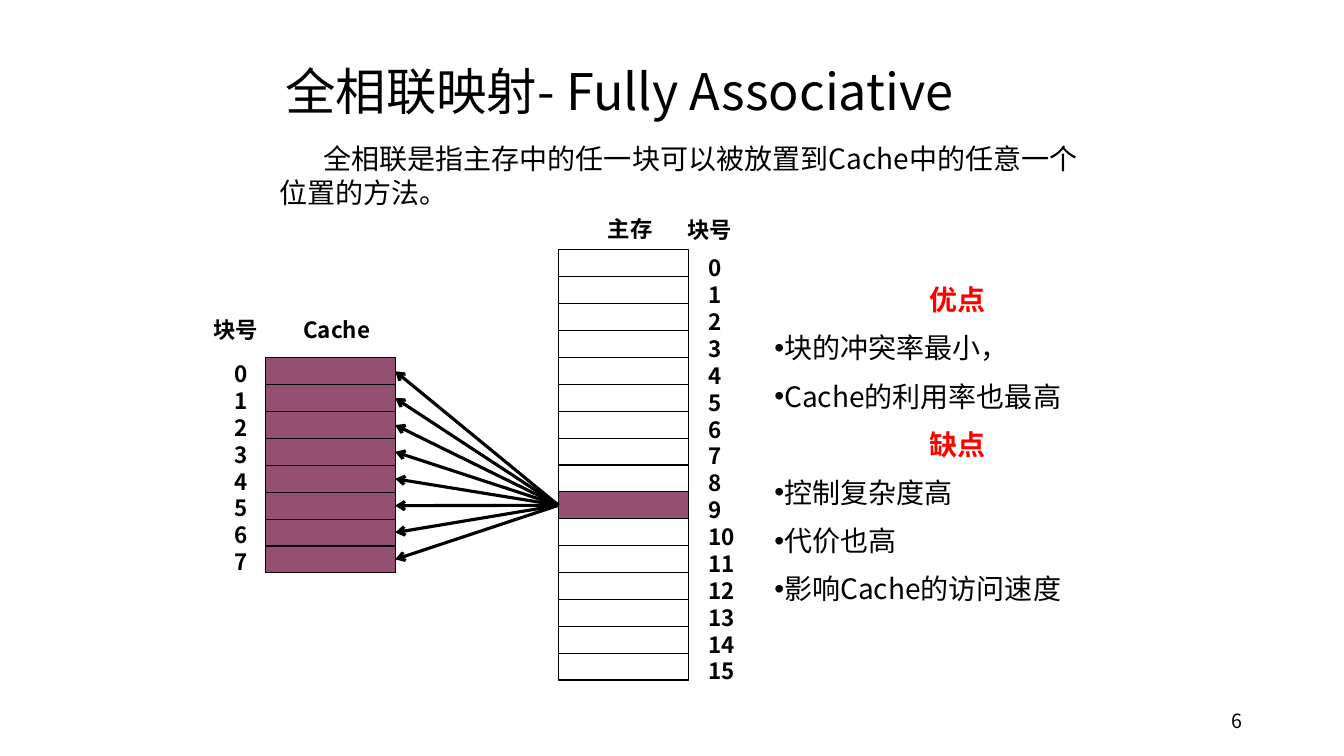
from lxml.etree import SubElement
from pptx import Presentation
from pptx.dml.color import RGBColor
from pptx.enum.shapes import MSO_CONNECTOR, MSO_SHAPE
from pptx.enum.text import MSO_ANCHOR, MSO_AUTO_SIZE, PP_ALIGN
from pptx.oxml.ns import qn
from pptx.util import Inches, Pt

FONT = "Noto Sans CJK SC"
COLORS = {"text": "000000", "heading": "FF0000", "block": "954F72"}

TITLE = "全相联映射- Fully Associative"
INTRO = "全相联是指主存中的任一块可以被放置到Cache中的任意一个位置的方法。"
PAGE = "6"
ASSESSMENT = [
    ("优点", ["块的冲突率最小，", "Cache的利用率也最高"]),
    ("缺点", ["控制复杂度高", "代价也高", "影响Cache的访问速度"]),
]
CAPTIONS = [
    ("块号", 2.02, 3.08),
    ("Cache", 2.91, 3.08),
    ("块号", 6.72, 2.09),
    ("主存", 5.93, 2.08),
]
CACHE = {"blocks": 8, "left": 2.63, "top": 3.55, "number_left": 2.23, "number_top": 3.52,
         "filled": range(8)}
MEMORY = {"blocks": 16, "left": 5.54, "top": 2.48, "number_left": 6.93, "number_top": 2.47,
          "filled": [9]}
BLOCK_WIDTH = 1.29
PITCH = 4 / 15
LINE_RATIO = 1.22


def rgb(name):
    return RGBColor.from_string(COLORS[name])


def format_paragraph(paragraph, size, color="text", bold=False, align=PP_ALIGN.LEFT, ratio=LINE_RATIO):
    paragraph.alignment = align
    paragraph.line_spacing = Pt(round(size * ratio, 1))
    paragraph.space_before = Pt(0)
    for run in paragraph.runs:
        run.font.size = Pt(size)
        run.font.bold = bold
        run.font.name = FONT
        run.font.color.rgb = rgb(color)
        SubElement(run.font._element, qn("a:ea")).set("typeface", FONT)


def set_marker(paragraph, bullet=None, indent=0):
    properties = paragraph._p.get_or_add_pPr()
    properties.set("marL", "0")
    properties.set("indent", str(Inches(indent)))
    if bullet:
        SubElement(properties, qn("a:buChar")).set("char", bullet)
    else:
        SubElement(properties, qn("a:buNone"))


def place(holder, left, top, width, height, anchor=MSO_ANCHOR.TOP):
    holder.left, holder.top = Inches(left), Inches(top)
    holder.width, holder.height = Inches(width), Inches(height)
    frame = holder.text_frame
    frame.word_wrap = True
    frame.auto_size = MSO_AUTO_SIZE.NONE
    frame.vertical_anchor = anchor
    return frame


def add_label(slide, text, left, top, width, height, size=16, bold=True,
              align=PP_ALIGN.LEFT, anchor=MSO_ANCHOR.TOP):
    frame = place(slide.shapes.add_textbox(0, 0, 0, 0), left, top, width, height, anchor)
    frame.text = text
    format_paragraph(frame.paragraphs[0], size, bold=bold, align=align)
    return frame.paragraphs[0]


def add_store(slide, store):
    blocks = []
    for number in range(store["blocks"]):
        offset = number * PITCH
        block = slide.shapes.add_shape(
            MSO_SHAPE.RECTANGLE, Inches(store["left"]), Inches(store["top"] + offset),
            Inches(BLOCK_WIDTH), Inches(PITCH))
        block.shadow.inherit = False
        if number in store["filled"]:
            block.fill.solid()
            block.fill.fore_color.rgb = rgb("block")
        else:
            block.fill.background()
        block.line.color.rgb = rgb("text")
        block.line.width = Pt(0.75)
        add_label(slide, str(number), store["number_left"], store["number_top"] + offset, 0.64, 0.37)
        blocks.append(block)
    return blocks


def add_arrow(slide, source, target):
    arrow = slide.shapes.add_connector(MSO_CONNECTOR.STRAIGHT, 0, 0, 0, 0)
    arrow.begin_connect(source, 1)
    arrow.end_connect(target, 3)
    arrow.line.color.rgb = rgb("text")
    arrow.line.width = Pt(2.25)
    SubElement(arrow.line._get_or_add_ln(), qn("a:tailEnd")).set("type", "arrow")
    SubElement(arrow._element.spPr, qn("a:effectLst"))


def add_assessment(body):
    frame = place(body, 7.58, 2.75, 3.83, 3.47)
    lines = []
    for heading, points in ASSESSMENT:
        lines.append((heading, True))
        lines += [(point, False) for point in points]
    frame.text = "\n".join(text for text, _ in lines)
    for index, (paragraph, (_, is_heading)) in enumerate(zip(frame.paragraphs, lines)):
        set_marker(paragraph, None if is_heading else "•")
        format_paragraph(paragraph, 20, "heading" if is_heading else "text", is_heading,
                         PP_ALIGN.CENTER if is_heading else PP_ALIGN.LEFT)
        if index:
            paragraph.space_before = Pt(10)


def main():
    deck = Presentation()
    deck.slide_width, deck.slide_height = Inches(13.33), Inches(7.5)
    slide = deck.slides.add_slide(deck.slide_layouts[1])

    title = place(slide.shapes.title, 2.73, 0.6, 8.19, 0.65)
    title.text = TITLE
    format_paragraph(title.paragraphs[0], 36, ratio=1.1)
    add_assessment(slide.placeholders[1])

    intro = add_label(slide, INTRO, 2.67, 1.35, 8.17, 0.77, size=20, bold=False)
    set_marker(intro, indent=0.44)
    add_label(slide, PAGE, 9.42, 6.95, 3, 0.4, size=14, bold=False,
              align=PP_ALIGN.RIGHT, anchor=MSO_ANCHOR.MIDDLE)

    cache_blocks = add_store(slide, CACHE)
    memory_blocks = add_store(slide, MEMORY)
    for text, left, top in CAPTIONS:
        add_label(slide, text, left, top, 1.05, 0.37)
    for block in cache_blocks:
        add_arrow(slide, memory_blocks[MEMORY["filled"][0]], block)

    deck.save("out.pptx")


if __name__ == "__main__":
    main()
